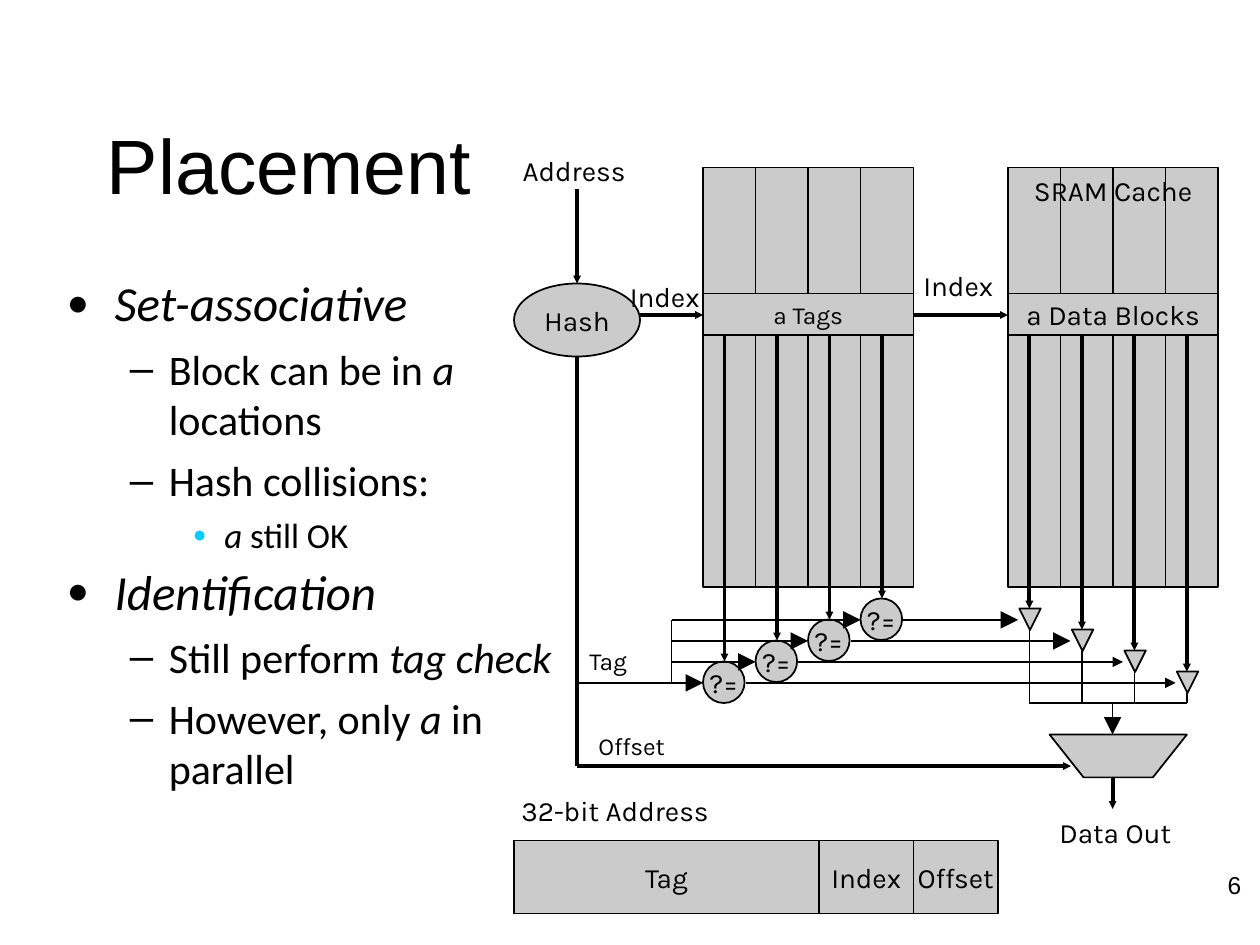
from lxml.etree import SubElement as Sub
from pptx import Presentation
from pptx.dml.color import RGBColor as Rgb
from pptx.enum.shapes import MSO_CONNECTOR as Conn, MSO_SHAPE as Geo
from pptx.enum.text import MSO_ANCHOR as Anchor, PP_ALIGN as Align
from pptx.oxml.ns import qn
from pptx.util import Inches, Pt


class Theme:
    ink = Rgb.from_string("000000")
    gray = Rgb.from_string("CBCBCB")
    black, cyan = "000000", "00CCFF"
    head, body, label = "Arial", "Calibri", "Karla"
    title, big, mid, low = 44, 28, 24, 20
    text, small = 16, 14
    thin, thick = 1, 2.25


deck = Presentation()
deck.slide_width, deck.slide_height = Inches(10), Inches(7.5)
slide = deck.slides.add_slide(deck.slide_layouts[6])
shapes = slide.shapes


def put(geo, left, top, width, height, text="", size=Theme.text, font=Theme.label,
        anchor=Anchor.MIDDLE, align=Align.CENTER):
    place = [Inches(v) for v in (left, top, width, height)]
    if geo is None:
        item = shapes.add_textbox(*place)
    else:
        item = shapes.add_shape(geo, *place)
        item.shadow.inherit = False
        item.fill.solid()
        item.fill.fore_color.rgb = Theme.gray
        item.line.color.rgb = Theme.ink
        item.line.width = Pt(Theme.thin)
    frame = item.text_frame
    frame.word_wrap = False
    frame.vertical_anchor = anchor
    if text:
        para = frame.paragraphs[0]
        para.alignment = align
        run = para.add_run()
        run.text = text
        run.font.name, run.font.size = font, Pt(size)
        run.font.color.rgb = Theme.ink
    return item


def link(x1, y1, x2, y2, width=Theme.thin, tip=None):
    line = shapes.add_connector(Conn.STRAIGHT, *[Inches(v) for v in (x1, y1, x2, y2)])
    line.line.color.rgb = Theme.ink
    line.line.width = Pt(width)
    if tip:
        Sub(line.line._get_or_add_ln(), qn("a:tailEnd"), type="triangle", w=tip, len=tip)
    Sub(line._element.spPr, qn("a:effectLst"))


page = put(None, 7.87, 6.72, 2.08, 0.42, "6", Theme.small, Theme.head,
           Anchor.BOTTOM, Align.RIGHT)
page.text_frame.word_wrap = True
page.text_frame.margin_top = page.text_frame.margin_bottom = 0
title = put(None, 0.75, 0.67, 8.84, 1.25, "Placement", Theme.title, Theme.head,
            align=Align.LEFT)
title.text_frame.word_wrap = True

levels = [
    (0.38, 0.38, 7, "●", Theme.black, 75, Theme.big),
    (0.81, 0.31, 6, "–", Theme.black, 100, Theme.mid),
    (1.25, 0.25, 5, "●", Theme.cyan, 65, Theme.low),
]
points = [
    (0, [("Set-associative", True)]),
    (1, [("Block can be in ", False), ("a", True), (" locations", False)]),
    (1, [("Hash collisions:", False)]),
    (2, [("a", True), (" still OK", False)]),
    (0, [("Identification", True)]),
    (1, [("Still perform ", False), ("tag check", True)]),
    (1, [("However, only ", False), ("a", True), (" in parallel", False)]),
]
frame = put(None, 0.33, 2.17, 4.42, 4.67, anchor=Anchor.TOP).text_frame
frame.word_wrap = True
frame.margin_left = frame.margin_right = Inches(0.2)
for n, (level, runs) in enumerate(points):
    left, hang, space, mark, tint, scale, size = levels[level]
    para = frame.add_paragraph() if n else frame.paragraphs[0]
    para.level = level
    if n:
        para.space_before = Pt(space)
    if level == 0:
        para.line_spacing = 0.9
    props = para._p.get_or_add_pPr()
    props.set("marL", str(Inches(left)))
    props.set("indent", str(-Inches(hang)))
    Sub(Sub(props, qn("a:buClr")), qn("a:srgbClr"), val=tint)
    Sub(props, qn("a:buSzPct"), val=str(scale * 1000))
    Sub(props, qn("a:buFont"), typeface=Theme.head)
    Sub(props, qn("a:buChar"), char=mark)
    for words, slant in runs:
        run = para.add_run()
        run.text = words
        run.font.name, run.font.size = Theme.body, Pt(size)
        run.font.italic = slant
        run.font.color.rgb = Theme.ink

ways, gap, step = 4, 5 / 12, 1 / 6
tags, data, wide = 5.58, 8, 1.67
trunk, feed, bus = 4.58, 5.33, 5.58

for left, name in [(data, "SRAM Cache"), (tags, "")]:
    put(Geo.RECTANGLE, left, 1.33, wide, 3.33, name, anchor=Anchor.TOP)
    for n in range(1, ways):
        link(left + n * gap, 1.33, left + n * gap, 4.67)

put(Geo.OVAL, 4.08, 2.25, 1, 0.58, "Hash")
for x1, y1, x2, y2 in [
    (trunk, 1.5, trunk, 2.25),
    (5.08, 2.5, tags, 2.5),
    (tags, 2.5, data, 2.5),
    (trunk, 6.08, 8.5, 6.08),
    (8.83, 6.17, 8.83, 6.42),
]:
    link(x1, y1, x2, y2, Theme.thick, "sm")
link(trunk, 2.83, trunk, 6.08, Theme.thick)
put(Geo.RECTANGLE, tags, 2.33, wide, 0.33, "a Tags", Theme.small)
put(Geo.RECTANGLE, data, 2.33, wide, 0.33, "a Data Blocks")

for n in range(ways):
    x, y = 5.75 + n * gap, 5.42 - n * step
    put(Geo.OVAL, x - 0.17, y - 0.17, 0.33, 0.33, "?=")
    link(x, 2.67, x, y - 0.17, Theme.thick, "sm")
    link(feed if n else trunk, y, x - 0.17, y, tip="lg")
    link(x + 0.17, y, 8.08 + (ways - 1 - n) * gap, y, tip="lg" if n > 1 else "med")

    x, y = 8.17 + n * gap, 4.83 + n * step
    gate = put(Geo.ISOSCELES_TRIANGLE, x - 0.08, y, 0.17, 0.17)
    gate.rotation = 180
    link(x, 2.67, x, y, Theme.thick, "sm")
    link(x, y + 0.17, x, bus)
link(feed, 4.92, feed, 5.42)
link(8.17, bus, 9.42, bus)
link(8.83, bus, 8.83, 5.83, tip="lg")

path = [(Inches(x), Inches(y)) for x, y in [(8.33, 5.83), (8.6, 6.17), (9.15, 6.17), (9.42, 5.83)]]
pen = shapes.build_freeform(*path[0])
pen.add_line_segments(path[1:], close=True)
mux = pen.convert_to_shape()
mux.shadow.inherit = False
mux.fill.solid()
mux.fill.fore_color.rgb = Theme.gray
mux.line.color.rgb = Theme.ink
mux.line.width = Pt(Theme.thin)

put(Geo.RECTANGLE, 4.08, 6.67, 3.83, 0.58)
for left, width, name in [(4.08, 2.42, "Tag"), (6.5, 0.75, "Index"), (7.25, 0.67, "Offset")]:
    put(Geo.RECTANGLE, left, 6.67, width, 0.58, name)

for left, top, width, name, size in [
    (4.05, 1.17, 1.04, "Address", Theme.text),
    (4.9, 2.17, 0.79, "Index", Theme.text),
    (7.23, 2.08, 0.79, "Index", Theme.text),
    (4.58, 5.08, 0.54, "Tag", Theme.small),
    (4.65, 5.75, 0.76, "Offset", Theme.small),
    (4.04, 6.25, 1.7, "32-bit Address", Theme.text),
    (8.31, 6.42, 1.14, "Data Out", Theme.text),
]:
    put(None, left, top, width, 0.37, name, size, anchor=Anchor.TOP, align=Align.LEFT)

deck.save("out.pptx")
